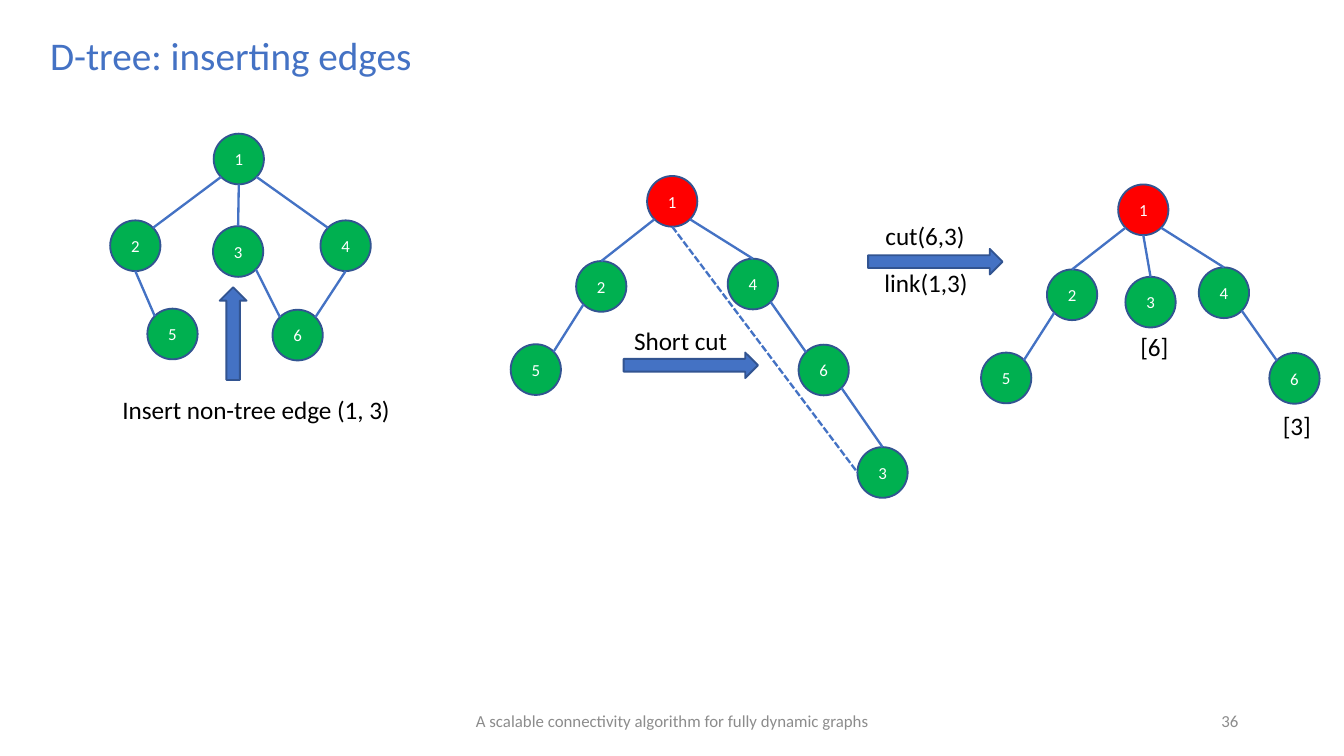
import pptx
import pptx.util
import pptx.dml.color
import pptx.enum.dml
import pptx.enum.shapes
import pptx.enum.text
import pptx.oxml

Color = pptx.dml.color.RGBColor
Shape = pptx.enum.shapes.MSO_SHAPE
Align = pptx.enum.text.PP_ALIGN
Anchor = pptx.enum.text.MSO_ANCHOR

BLUE = Color(0x44, 0x72, 0xC4)
DARK_BLUE = Color(0x32, 0x54, 0x91)
GREEN = Color(0x00, 0xB0, 0x50)
RED = Color(0xFF, 0x00, 0x00)
GRAY = Color(0x8C, 0x8C, 0x8C)
BLACK = Color(0x00, 0x00, 0x00)
WHITE = Color(0xFF, 0xFF, 0xFF)

# The slide is a grid of cells, each a tenth of an inch
COLUMNS, ROWS = 100, 56.25
NODE_WIDTH, NODE_HEIGHT = 3.74, 3.77
DIAGONAL = 0.5 ** 0.5

# Points on a node's rim, as directions from its centre
RIM = {
    "top": (0, -1), "bottom": (0, 1), "left": (-1, 0),
    "top left": (-DIAGONAL, -DIAGONAL), "top right": (DIAGONAL, -DIAGONAL),
    "bottom left": (-DIAGONAL, DIAGONAL), "bottom right": (DIAGONAL, DIAGONAL),
}

# Each tree: root colour, nodes (left, top) and edges (node, rim, node, rim)
SHARED_EDGES = [
    (1, "bottom left", 2, "top"), (1, "bottom right", 4, "top"),
    (2, "bottom left", 5, "top right"), (4, "bottom right", 6, "top left"),
]
TREES = [
    (GREEN,
     {1: (15.9, 9.95), 2: (8.2, 16.4), 3: (15.85, 16.83), 4: (23.85, 16.4),
      5: (10.97, 22.97), 6: (20.28, 23.05)},
     [(1, "bottom left", 2, "top right"), (1, "bottom", 3, "top"),
      (1, "bottom right", 4, "top left"), (2, "bottom", 5, "top left"),
      (3, "bottom right", 6, "top left"), (4, "bottom", 6, "top right")]),
    (RED,
     {1: (48.15, 13.1), 2: (42.87, 19.43), 4: (54.15, 19.25), 5: (38, 25.62),
      6: (59.42, 25.65), 3: (63.8, 33.27)},
     SHARED_EDGES + [(6, "bottom right", 3, "top")]),
    (RED,
     {1: (83.2, 13.73), 2: (77.9, 20.05), 3: (83.74, 20.6), 4: (89.2, 19.9),
      5: (73, 26.24), 6: (94.45, 26.27)},
     SHARED_EDGES + [(1, "bottom", 3, "top")]),
]
SHORT_CUT = (1, "bottom", 3, "left")

# Labels: text, left, top, width
LABELS = [
    ("Insert non-tree edge (1, 3)", 8.12, 28.84, 22.2),
    ("Short cut", 46.2, 23.7, 9),
    ("cut(6,3)", 64.9, 15.9, 8),
    ("link(1,3)", 64.83, 19.4, 8.3),
    ("[6]", 83.86, 24.13, 4.1),
    ("[3]", 94.46, 30.07, 4.1),
]

# Block arrows: shape, left, top, width, height
ARROWS = [
    (Shape.UP_ARROW, 16.35, 21.37, 2, 6.9),
    (Shape.RIGHT_ARROW, 46.4, 26.23, 10, 1.9),
    (Shape.RIGHT_ARROW, 64.6, 18.52, 10, 1.9),
]


def cells(*counts):
    return [pptx.util.Inches(count / 10) for count in counts]


def write(shape, text, size, color, align):
    para = shape.text_frame.paragraphs[0]
    para.text = text
    para.alignment = align
    para.font.name = "Calibri"
    para.font.size = pptx.util.Pt(size)
    para.font.color.rgb = color


def add_text(page, text, place, size, color, align=Align.LEFT,
             anchor=Anchor.TOP, wrap=False):
    box = page.shapes.add_textbox(*cells(*place))
    box.text_frame.word_wrap = wrap
    box.text_frame.vertical_anchor = anchor
    write(box, text, size, color, align)


def add_block(page, kind, place, fill):
    block = page.shapes.add_shape(kind, *cells(*place))
    block.shadow.inherit = False
    block.fill.solid()
    block.fill.fore_color.rgb = fill
    block.line.color.rgb = DARK_BLUE
    block.line.width = pptx.util.Pt(1)
    return block


def add_node(page, number, corner, fill):
    node = add_block(page, Shape.OVAL, (*corner, NODE_WIDTH, NODE_HEIGHT), fill)
    node.text_frame.vertical_anchor = Anchor.MIDDLE
    write(node, str(number), 9, WHITE, Align.CENTER)


def rim_point(corner, side):
    across, down = RIM[side]
    return (corner[0] + NODE_WIDTH / 2 * (1 + across),
            corner[1] + NODE_HEIGHT / 2 * (1 + down))


def add_edge(page, nodes, edge, dashed=False):
    start, start_side, end, end_side = edge
    line = page.shapes.add_connector(
        pptx.enum.shapes.MSO_CONNECTOR.STRAIGHT,
        *cells(*rim_point(nodes[start], start_side),
               *rim_point(nodes[end], end_side)))
    line.line.color.rgb = BLUE
    line.line.width = pptx.util.Pt(1.25)
    if dashed:
        line.line.dash_style = pptx.enum.dml.MSO_LINE.SQUARE_DOT
    no_shadow = pptx.oxml.parse_xml(
        '<a:effectLst xmlns:a='
        '"http://schemas.openxmlformats.org/drawingml/2006/main"/>')
    line._element.spPr.append(no_shadow)


def add_tree(page, root_color, nodes, edges):
    for number, corner in nodes.items():
        add_node(page, number, corner, root_color if number == 1 else GREEN)
    for edge in edges:
        add_edge(page, nodes, edge)


def main():
    deck = pptx.Presentation()
    deck.slide_width, deck.slide_height = cells(COLUMNS, ROWS)
    page = deck.slides.add_slide(deck.slide_layouts[6])

    # Title and footer
    add_text(page, "D-tree: inserting edges", (2.74, 1.8, 29.3, 4.5), 21, BLUE)
    add_text(page, "A scalable connectivity algorithm for fully dynamic graphs",
             (33.12, 52.13, 33.75, 3), 9, GRAY, Align.CENTER, Anchor.MIDDLE, True)
    add_text(page, "36", (70.62, 52.13, 22.5, 3), 9, GRAY,
             Align.RIGHT, Anchor.MIDDLE, True)

    # Trees before, during and after the insertion
    for tree in TREES:
        add_tree(page, *tree)
    add_edge(page, TREES[1][1], SHORT_CUT, dashed=True)

    # Steps between the trees
    for kind, *place in ARROWS:
        add_block(page, kind, place, BLUE)
    for text, left, top, width in LABELS:
        add_text(page, text, (left, top, width, 3.3), 13.5, BLACK)

    deck.save("out.pptx")


if __name__ == "__main__":
    main()
